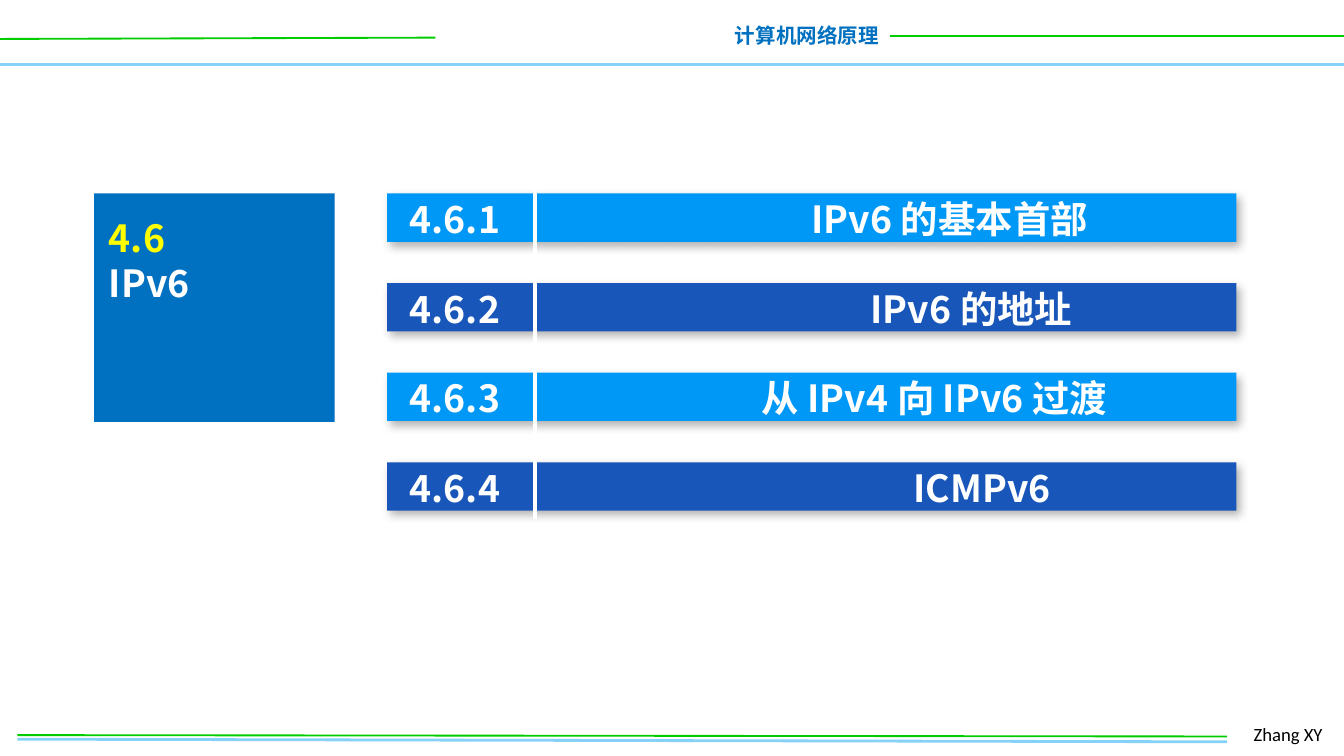
from lxml import etree
from pptx import Presentation
from pptx.dml.color import RGBColor
from pptx.enum.shapes import MSO_CONNECTOR, MSO_SHAPE
from pptx.enum.text import MSO_ANCHOR, MSO_AUTO_SIZE, PP_ALIGN
from pptx.oxml import parse_xml
from pptx.oxml.ns import qn
from pptx.util import Inches, Pt

STRAIGHT = MSO_CONNECTOR.STRAIGHT
RECTANGLE = MSO_SHAPE.RECTANGLE
TOP = MSO_ANCHOR.TOP
NO_FIT = MSO_AUTO_SIZE.NONE
LEFT, RIGHT = PP_ALIGN.LEFT, PP_ALIGN.RIGHT
HEADING_FONT = "Noto Sans CJK SC"
DRAWING_NS = "http://schemas.openxmlformats.org/drawingml/2006/main"


def color(value):
    return RGBColor.from_string(value)


def add_span(para, text, size, fill, font=HEADING_FONT, bold=True):
    span = para.add_run()
    span.text = text
    span.font.size = Pt(size)
    span.font.bold = bold
    span.font.name = font
    span.font.color.rgb = color(fill)
    east_asian = etree.SubElement(span.font._element, qn("a:ea"))
    east_asian.set("typeface", font)


deck = Presentation()
deck.slide_width = Inches(10)
deck.slide_height = Inches(10) * 9 // 16
page = deck.slides.add_slide(deck.slide_layouts[5])

rules = [
    (0, 0.48, 10, 0.48, "85D1F7", 2),
    (0, 0.29, 3.24, 0.28, "00CC00", 1),
    (6.62, 0.27, 10, 0.27, "00CC00", 1),
    (0.13, 5.5, 9.13, 5.52, "85D1F7", 1.5),
    (0.13, 5.47, 9.13, 5.48, "00CC00", 1),
]
divider = (3.98, 1.37, 3.98, 3.86, "FFFFFF", 2.25)

bars = [(2.88, 1.44 + row * 2 / 3, 6.32, 0.36, fill)
        for row, fill in enumerate(["0098F6", "1956B9"] * 2)]
panel = (0.7, 1.44, 1.79, 1.7, "0070C0")
for left, top, width, height, fill in bars + [panel]:
    block = page.shapes.add_shape(
        RECTANGLE, Inches(left), Inches(top), Inches(width), Inches(height))
    block.fill.solid()
    block.fill.fore_color.rgb = color(fill)
    block.line.fill.background()
    block.shadow.inherit = False
    if width == 6.32:
        effects = block.element.spPr.find(qn("a:effectLst"))
        effects.append(parse_xml(
            f'<a:outerShdw xmlns:a="{DRAWING_NS}" blurRad="{Pt(4.5)}" '
            f'dist="{Pt(2.6)}" dir="{53 * 60000}" algn="tl" rotWithShape="0">'
            '<a:srgbClr val="000000"><a:alpha val="30000"/></a:srgbClr>'
            '</a:outerShdw>'))

for x1, y1, x2, y2, stroke, weight in rules + [divider]:
    rule = page.shapes.add_connector(
        STRAIGHT, Inches(x1), Inches(y1), Inches(x2), Inches(y2))
    rule.line.color.rgb = color(stroke)
    rule.line.width = Pt(weight)
    etree.SubElement(rule.element.spPr, qn("a:effectLst"))

labels = [
    (5.36, 0.12, 1.28, 0.29, RIGHT, False, "计算机网络原理", 11, "0070C0", HEADING_FONT, True),
    (9.23, 5.33, 0.74, 0.27, LEFT, True, "Zhang XY", 10, "000000", "Calibri", False),
]
for left, top, width, height, align, wrap, text, size, fill, font, bold in labels:
    box = page.shapes.add_textbox(
        Inches(left), Inches(top), Inches(width), Inches(height))
    box.text_frame.word_wrap = wrap
    para = box.text_frame.paragraphs[0]
    para.alignment = align
    add_span(para, text, size, fill, font, bold)

title = page.shapes.title
title.left, title.top = Inches(0.71), Inches(1.55)
title.width, title.height = Inches(1.78), Inches(0.77)
page.shapes.element.append(title.element)
frame = title.text_frame
frame.word_wrap = True
frame.auto_size = NO_FIT
frame.vertical_anchor = TOP
for row, (text, fill) in enumerate([("4.6", "FFFF00"), ("IPv6", "FFFFFF")]):
    para = frame.add_paragraph() if row else frame.paragraphs[0]
    para.alignment = LEFT
    para.line_spacing = Pt(24)
    para.space_before = Pt(0)
    add_span(para, text, 20, fill)

sections = [
    ("4.6.1", "IPv6 的基本首部", 2.99),
    ("4.6.2", "IPv6 的地址", 3.43),
    ("4.6.3", "从 IPv4 向 IPv6 过渡", 2.62),
    ("4.6.4", "ICMPv6", 3.75),
]
topics = page.shapes.add_textbox(
    Inches(2.95), Inches(1.41), Inches(6.1), Inches(2.46))
frame = topics.text_frame
frame.word_wrap = True
for row, (number, name, offset) in enumerate(sections):
    para = frame.add_paragraph() if row else frame.paragraphs[0]
    tab_list = etree.SubElement(para._p.get_or_add_pPr(), qn("a:tabLst"))
    tab = etree.SubElement(tab_list, qn("a:tab"))
    tab.set("pos", str(Inches(offset)))
    tab.set("algn", "l")
    para.line_spacing = Pt(24)
    para.space_before = Pt(24 if row else 0)
    add_span(para, f"{number}\t{name}", 20, "FFFFFF")

deck.save("out.pptx")
